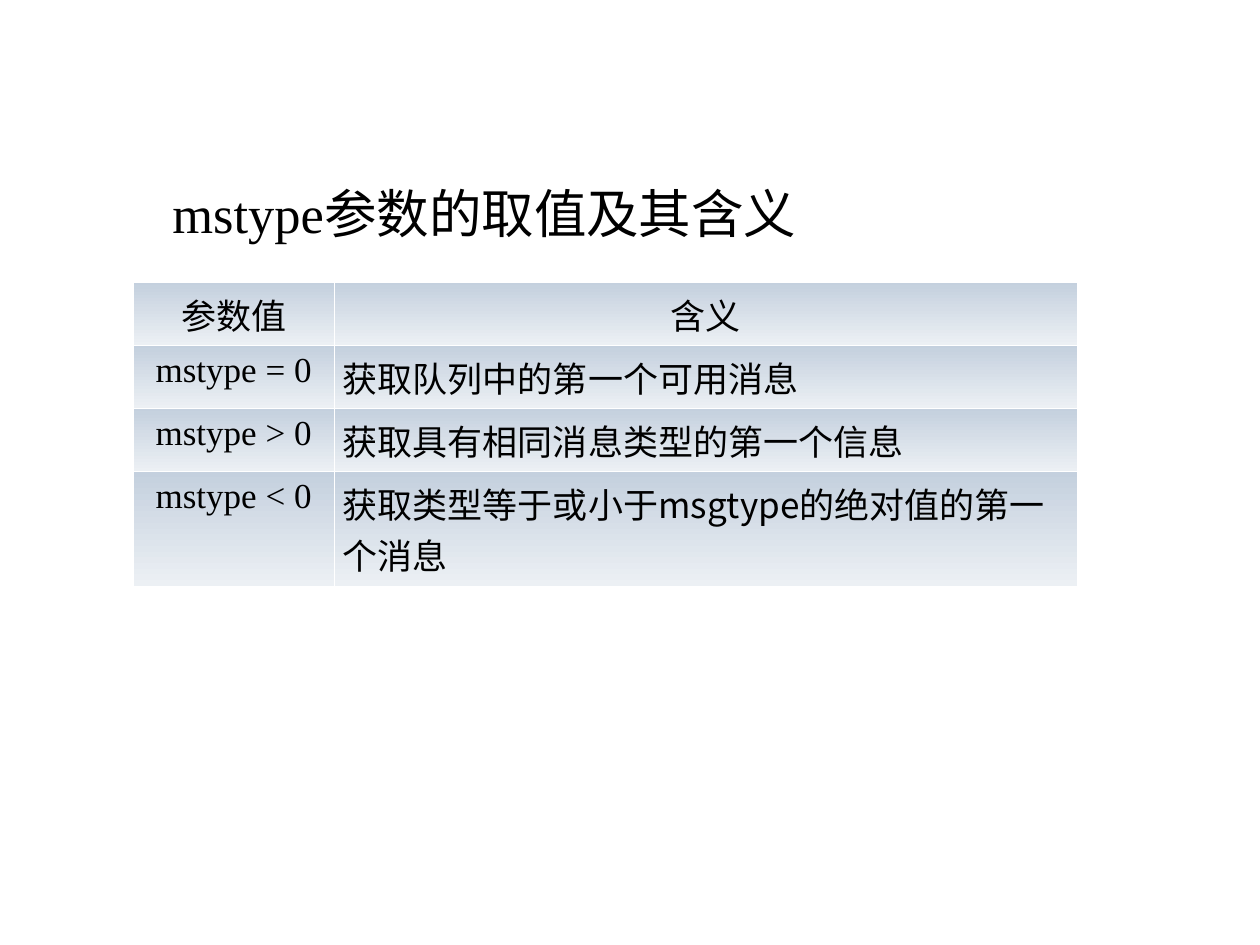
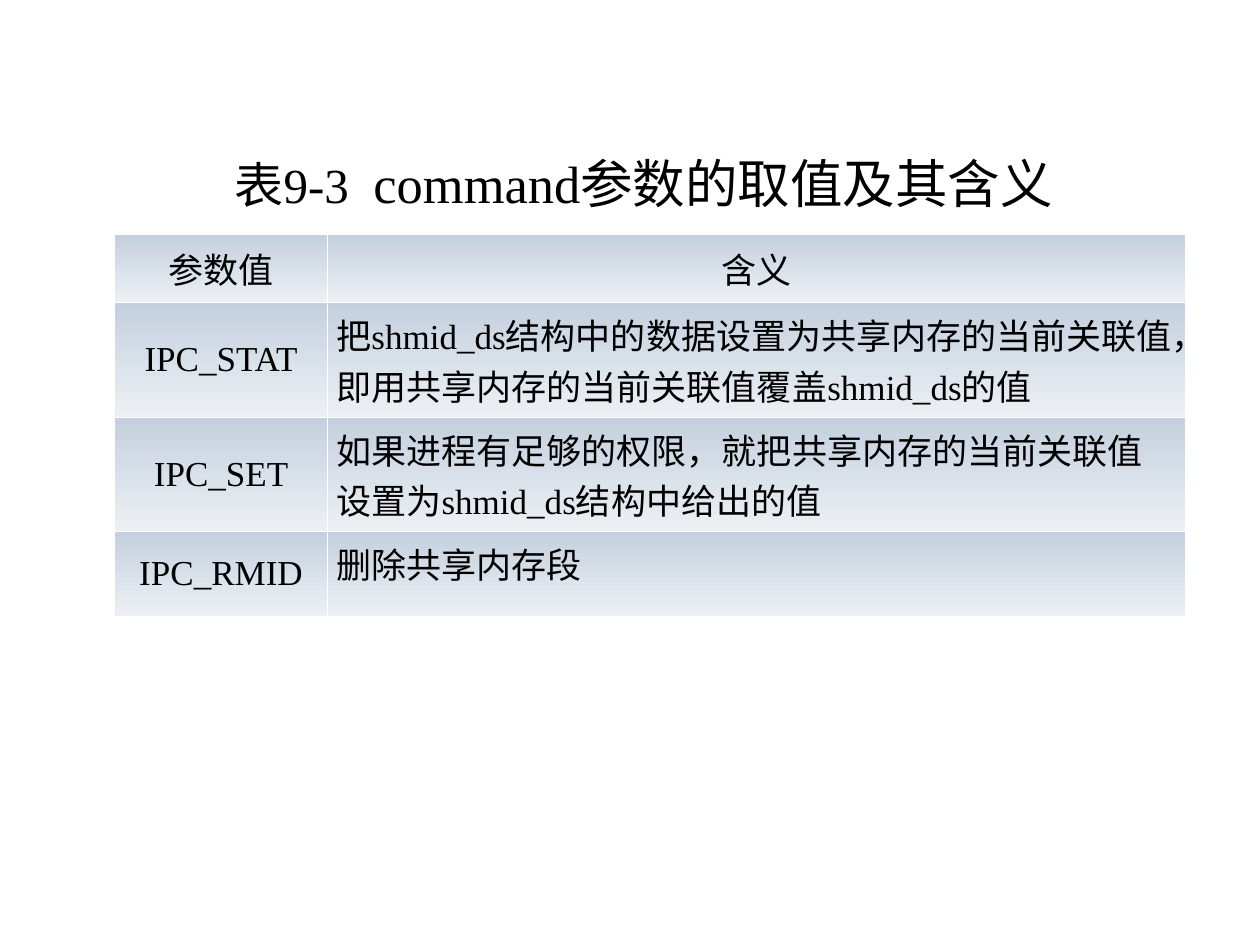
from lxml.etree import SubElement
from pptx import Presentation
from pptx.dml.color import RGBColor
from pptx.enum.text import MSO_ANCHOR, PP_ALIGN
from pptx.oxml import parse_xml
from pptx.oxml.ns import nsdecls, qn
from pptx.util import Inches, Pt

BLACK = RGBColor(0x00, 0x00, 0x00)
WHITE = RGBColor(0xFF, 0xFF, 0xFF)
TOP = RGBColor(0xC4, 0xD0, 0xDE)
BASE = RGBColor(0xEC, 0xF0, 0xF4)
SERIF, SANS, HAN = "Times New Roman", "Calibri", "Noto Sans CJK SC"
LEFT, CENTER = PP_ALIGN.LEFT, PP_ALIGN.CENTER
HEADS = ("参数值", "含义")


def write(para, text, size=20, font=SERIF, align=LEFT):
    """Add a run; Chinese characters always take the HAN font."""
    para.alignment = align
    run = para.add_run()
    run.text = text
    run.font.size = Pt(size)
    run.font.name = font
    run.font.color.rgb = BLACK
    SubElement(run.font._element, qn("a:ea"), typeface=HAN)


class Deck:
    def __init__(self):
        self.prs = Presentation()
        self.prs.slide_width = Inches(10)
        self.prs.slide_height = Inches(7.5)
        self.slide = None

    def page(self):
        self.slide = self.prs.slides.add_slide(self.prs.slide_layouts[6])
        fill = self.slide.background.fill
        fill.solid()
        fill.fore_color.rgb = WHITE

    def title(self, left, top, parts, align=LEFT, indent=0):
        """Write (text, size) parts on one line, indented in inches."""
        box = self.slide.shapes.add_textbox(
            Inches(left), Inches(top), Inches(9.98), Inches(4.67))
        box.text_frame.word_wrap = True
        para = box.text_frame.paragraphs[0]
        para.space_before = Pt(7.5)
        if indent:
            para._p.get_or_add_pPr().set("marL", str(Inches(indent)))
        for text, size in parts:
            write(para, text, size=size, align=align)

    def paint(self, cell):
        """Give the cell a downward gradient and thin white borders."""
        cell.fill.gradient()
        cell.fill.gradient_angle = 270
        for stop, color, place in zip(cell.fill.gradient_stops, (TOP, BASE), (0, 1)):
            stop.color.rgb = color
            stop.position = place
        props = cell._tc.get_or_add_tcPr()
        for spot, side in enumerate("LRTB"):
            props.insert(spot, parse_xml(
                f'<a:ln{side} {nsdecls("a")} w="{Pt(0.45)}"><a:solidFill>'
                f'<a:srgbClr val="{WHITE}"/></a:solidFill></a:ln{side}>'))

    def table(self, left, top, widths, heights, rows, anchor):
        """Draw HEADS and rows; anchor places the first column's names."""
        grid = self.slide.shapes.add_table(
            len(heights), len(widths), Inches(left), Inches(top),
            Inches(sum(widths)), Inches(sum(heights))).table
        grid.first_row = grid.horz_banding = False
        for col, width in zip(grid.columns, widths):
            col.width = Inches(width)
        for row, height in zip(grid.rows, heights):
            row.height = Inches(height)
        for r, texts in enumerate([HEADS, *rows]):
            for c, text in enumerate(texts):
                cell = grid.cell(r, c)
                head, name = r == 0, c == 0
                last = r == len(rows) and not name
                cell.margin_left = cell.margin_right = Inches(0.08 if head else 0.07)
                cell.vertical_anchor = (
                    MSO_ANCHOR.MIDDLE if head else anchor if name else MSO_ANCHOR.TOP)
                write(cell.text_frame.paragraphs[0], text,
                      font=SANS if head else HAN if last else SERIF,
                      align=CENTER if head or name else LEFT)
                self.paint(cell)


def main():
    deck = Deck()

    deck.page()
    deck.title(0.27, 1.39, [("mstype参数的取值及其含义", 30)], indent=1)
    deck.table(1.06, 2.24, (1.59, 5.9), (0.5, 0.5, 0.5, 0.91), [
        ("mstype = 0", "获取队列中的第一个可用消息"),
        ("mstype > 0", "获取具有相同消息类型的第一个信息"),
        ("mstype < 0", "获取类型等于或小于msgtype的绝对值的第一个消息"),
    ], MSO_ANCHOR.TOP)

    deck.page()
    deck.title(0.12, 1.15, [("表9-3  ", 28), ("command参数的取值及其含义", 30)],
               align=CENTER)
    deck.table(0.91, 1.86, (1.69, 6.81), (0.54, 0.91, 0.91, 0.67), [
        ("IPC_STAT", "把shmid_ds结构中的数据设置为共享内存的当前关联值，"
                     "即用共享内存的当前关联值覆盖shmid_ds的值"),
        ("IPC_SET", "如果进程有足够的权限，就把共享内存的当前关联值"
                    "设置为shmid_ds结构中给出的值"),
        ("IPC_RMID", "删除共享内存段"),
    ], MSO_ANCHOR.MIDDLE)

    deck.prs.save("out.pptx")


if __name__ == "__main__":
    main()
